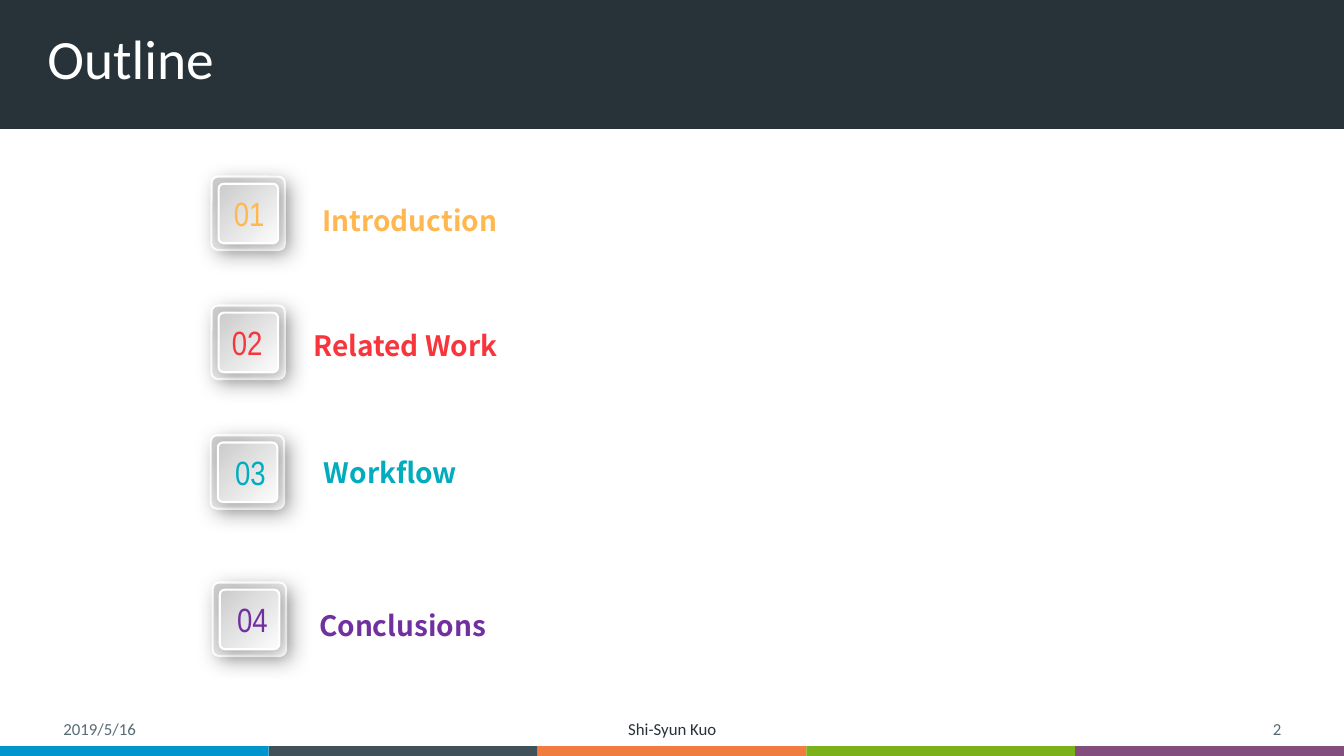
from lxml.etree import SubElement
from pptx import Presentation
from pptx.dml.color import RGBColor
from pptx.enum.shapes import MSO_SHAPE
from pptx.enum.text import MSO_ANCHOR, PP_ALIGN
from pptx.oxml.ns import qn
from pptx.util import Cm, Pt

WIDTH, HEIGHT = 33.87, 19.05

prs = Presentation()
prs.slide_width, prs.slide_height = Cm(WIDTH), Cm(HEIGHT)
slide = prs.slides.add_slide(prs.slide_layouts[5])
shapes = slide.shapes
rgb = RGBColor.from_string


def write(box, text, size, font, color, align=PP_ALIGN.LEFT, bold=False):
    frame = box.text_frame
    frame.word_wrap = True
    frame.vertical_anchor = MSO_ANCHOR.MIDDLE
    paragraph = frame.paragraphs[0]
    paragraph.alignment = align
    run = paragraph.add_run()
    run.text = text
    formats = {"size": Pt(size), "name": font, "bold": bold}
    for name, value in formats.items():
        setattr(run.font, name, value)
    run.font.color.rgb = rgb(color)


# Header band and title
title = shapes.title
header = shapes.add_shape(MSO_SHAPE.RECTANGLE, 0, 0, Cm(WIDTH), Cm(3.25))
header.shadow.inherit = False
header.fill.solid()
header.fill.fore_color.rgb = rgb("273339")
header.line.fill.background()
title._element.addprevious(header._element)

title_place = {"left": 0.94, "top": 0.61, "width": 29.21, "height": 1.88}
for side, length in title_place.items():
    setattr(title, side, Cm(length))
write(title, "Outline", 39.6, "Calibri", "FFFFFF")
title.text_frame.paragraphs[0].line_spacing = 0.9

# Colour stripe along the bottom
stripe_colors = ["0095CD", "40515A", "F17C3F", "7BB21B", "814E7E"]
stripe_width = WIDTH / len(stripe_colors)
for i, color in enumerate(stripe_colors):
    stripe = shapes.add_shape(MSO_SHAPE.RECTANGLE, Cm(i * stripe_width),
                              Cm(HEIGHT - 0.25), Cm(stripe_width), Cm(0.25))
    stripe.shadow.inherit = False
    stripe.fill.solid()
    stripe.fill.fore_color.rgb = rgb(color)
    stripe.line.fill.background()

# Footer: date, author, page
footers = [
    ("2019/5/16", 1.35, 7.62, "576973", PP_ALIGN.LEFT),
    ("Shi-Syun Kuo", 11.23, 11.43, "273339", PP_ALIGN.CENTER),
    ("2", 24.92, 7.62, "576973", PP_ALIGN.RIGHT),
]
for text, left, width, color, align in footers:
    footer = shapes.add_textbox(Cm(left), Cm(17.96), Cm(width), Cm(0.79))
    write(footer, text, 12, "Calibri", color, align)

# Chapters: name, colour, tile left and top, number left, name left, top and width
chapters = [
    ("Introduction", "FFB850", 5.33, 4.45, 5.38, 7.75, 4.98, 5.16),
    ("Related Work", "F8353D", 5.33, 7.70, 5.33, 7.54, 8.15, 5.36),
    ("Workflow", "01ACBE", 5.31, 10.97, 5.41, 7.44, 11.35, 4.80),
    ("Conclusions", "7030A0", 5.36, 14.68, 5.46, 7.75, 15.19, 4.80),
]
# Tile layers: inset, side, shadow blur and distance in points
layers = [(0, 1.85, 15, 5), (0.18, 1.50, 11, 3)]

for number, chapter in enumerate(chapters, 1):
    name, color, left, top, number_left, name_left, name_top, name_width = chapter

    for inset, side, blur, distance in layers:
        tile = shapes.add_shape(MSO_SHAPE.ROUNDED_RECTANGLE, Cm(left + inset),
                                Cm(top + inset), Cm(side), Cm(side))
        tile.adjustments[0] = 0.087
        tile.fill.gradient()
        tile.fill.gradient_angle = 315
        for stop, position, shade in zip(tile.fill.gradient_stops,
                                         (0.01, 1), ("CCCCCC", "FCFCFC")):
            stop.position = position
            stop.color.rgb = rgb(shade)
        tile.line.color.rgb = rgb("FFFFFF")
        tile.line.width = Pt(1.5)

        # Soft shadow towards the lower right
        tile.shadow.inherit = False
        effects = tile._element.spPr.find(qn("a:effectLst"))
        shadow = SubElement(effects, qn("a:outerShdw"), blurRad=str(Pt(blur)),
                            dist=str(Pt(distance)), dir="2700000",
                            algn="tl", rotWithShape="0")
        black = SubElement(shadow, qn("a:srgbClr"), val="000000")
        SubElement(black, qn("a:alpha"), val="30000")

    number_box = shapes.add_textbox(Cm(number_left), Cm(top + 0.28), Cm(1.8), Cm(1.27))
    write(number_box, f"{number:02}", 24, "Arial Narrow", color, PP_ALIGN.CENTER)
    name_box = shapes.add_textbox(Cm(name_left), Cm(name_top), Cm(name_width), Cm(1.12))
    write(name_box, name, 20, "Noto Sans CJK SC", color, PP_ALIGN.CENTER, bold=True)

prs.save("out.pptx")
